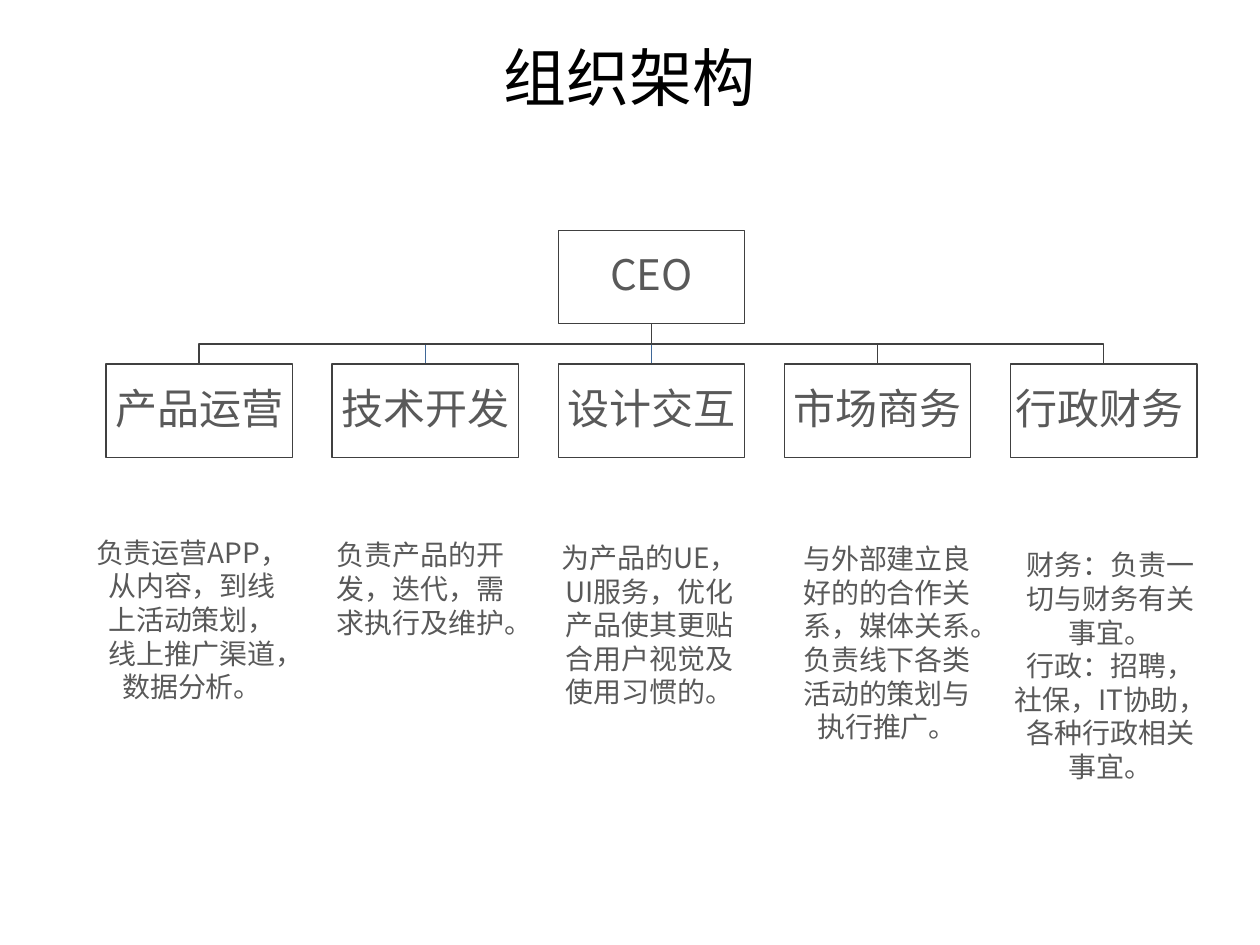
from lxml import etree
from pptx import Presentation
from pptx.dml.color import RGBColor
from pptx.enum.shapes import MSO_CONNECTOR, MSO_SHAPE
from pptx.enum.text import MSO_ANCHOR, MSO_AUTO_SIZE, PP_ALIGN
from pptx.oxml.ns import qn
from pptx.util import Inches, Pt

RECTANGLE = MSO_SHAPE.RECTANGLE
STRAIGHT = MSO_CONNECTOR.STRAIGHT
MIDDLE, TOP = MSO_ANCHOR.MIDDLE, MSO_ANCHOR.TOP
CENTER = PP_ALIGN.CENTER
GROW = MSO_AUTO_SIZE.SHAPE_TO_FIT_TEXT

FONT = "Noto Sans CJK SC"
COLORS = {"title": "000000", "text": "595959", "line": "404040", "accent": "3F6797"}

# Grid of the chart, in inches
BOX_WIDTH, BOX_HEIGHT = 1.48, 0.74
FIRST_LEFT, LAST_LEFT = 0.84, 8.02
CEO_TOP, TEAM_TOP = 1.83, 2.89
CEO_COLUMN = 2
DUTY_TOP, DUTY_WIDTH = 4.2, 1.73

# Team name, branch colour, shift of the duty text from its column and row, duty height, duties
TEAMS = [
    ("产品运营", "line", (-0.18, 0), 1.45,
     ["负责运营APP，从内容，到线上活动策划，线上推广渠道，数据分析。"]),
    ("技术开发", "accent", (-0.16, 0.02), 0.91,
     ["负责产品的开发，迭代，需求执行及维护。"]),
    ("设计交互", "accent", (-0.14, 0.04), 1.45,
     ["为产品的UE，UI服务，优化产品使其更贴合用户视觉及使用习惯的。"]),
    ("市场商务", "line", (-0.05, 0.05), 1.72,
     ["与外部建立良好的的合作关系，媒体关系。负责线下各类活动的策划与执行推广。"]),
    ("行政财务 ", "line", (-0.07, 0.1), 1.99,
     ["财务：负责一切与财务有关事宜。", "行政：招聘，社保，IT协助，各种行政相关事宜。"]),
]


def color(name):
    return RGBColor.from_string(COLORS[name])


def column_left(column):
    return FIRST_LEFT + column * (LAST_LEFT - FIRST_LEFT) / (len(TEAMS) - 1)


def column_center(column):
    return column_left(column) + BOX_WIDTH / 2


def write(frame, lines, size, color_name, anchor, spacing=None):
    frame.word_wrap = True
    frame.vertical_anchor = anchor
    for index, line in enumerate(lines):
        para = frame.add_paragraph() if index else frame.paragraphs[0]
        para.text = line
        para.alignment = CENTER
        para.line_spacing = spacing
        para.font.size = Pt(size)
        para.font.name = FONT
        para.font.color.rgb = color(color_name)
        # East Asian typeface follows the Latin one
        defaults = para.font.fill._xPr
        latin = defaults.find(qn("a:latin"))
        east_asian = etree.Element(qn("a:ea"), typeface=FONT)
        latin.addnext(east_asian)


def add_text(page, left, top, width, height, lines, size, color_name, anchor=TOP):
    box = page.shapes.add_textbox(Inches(left), Inches(top), Inches(width), Inches(height))
    write(box.text_frame, lines, size, color_name, anchor)
    return box


def add_box(page, column, top, label):
    box = page.shapes.add_shape(RECTANGLE, Inches(column_left(column)), Inches(top),
                                Inches(BOX_WIDTH), Inches(BOX_HEIGHT))
    box.shadow.inherit = False
    box.fill.background()
    box.line.color.rgb = color("line")
    box.line.width = Pt(0.75)
    frame = box.text_frame
    frame.margin_left = frame.margin_right = Inches(0.02)
    frame.margin_top = frame.margin_bottom = Inches(0.02)
    write(frame, [label], 24, "text", MIDDLE, 0.9)


def add_branch(page, column, color_name):
    start_x, end_x = Inches(column_center(CEO_COLUMN)), Inches(column_center(column))
    start_y, end_y = Inches(CEO_TOP + BOX_HEIGHT), Inches(TEAM_TOP)
    if column == CEO_COLUMN:
        branch = page.shapes.add_connector(STRAIGHT, start_x, start_y, end_x, end_y)
        etree.SubElement(branch._element.spPr, qn("a:effectLst"))
    else:
        middle = (start_y + end_y) // 2
        builder = page.shapes.build_freeform(start_x, start_y)
        builder.add_line_segments([(start_x, middle), (end_x, middle), (end_x, end_y)],
                                  close=False)
        branch = builder.convert_to_shape()
        branch.fill.background()
        branch.shadow.inherit = False
    branch.line.color.rgb = color(color_name)
    branch.line.width = Pt(0.75)


def main():
    deck = Presentation()
    deck.slide_width, deck.slide_height = Inches(10), Inches(7.5)
    page = deck.slides.add_slide(deck.slide_layouts[6])

    # Title
    add_text(page, 0.5, 0.23, 9, 0.76, ["组织架构"], 36, "title", MIDDLE)

    # Branches, from right to left
    for column in reversed(range(len(TEAMS))):
        add_branch(page, column, TEAMS[column][1])

    # Boxes
    add_box(page, CEO_COLUMN, CEO_TOP, "CEO")
    for column, team in enumerate(TEAMS):
        add_box(page, column, TEAM_TOP, team[0])

    # Duties of each team
    for column, (_, _, (shift_x, shift_y), height, duties) in enumerate(TEAMS):
        box = add_text(page, column_left(column) + shift_x, DUTY_TOP + shift_y,
                       DUTY_WIDTH, height, duties, 16, "text")
        box.text_frame.auto_size = GROW

    deck.save("out.pptx")


main()
